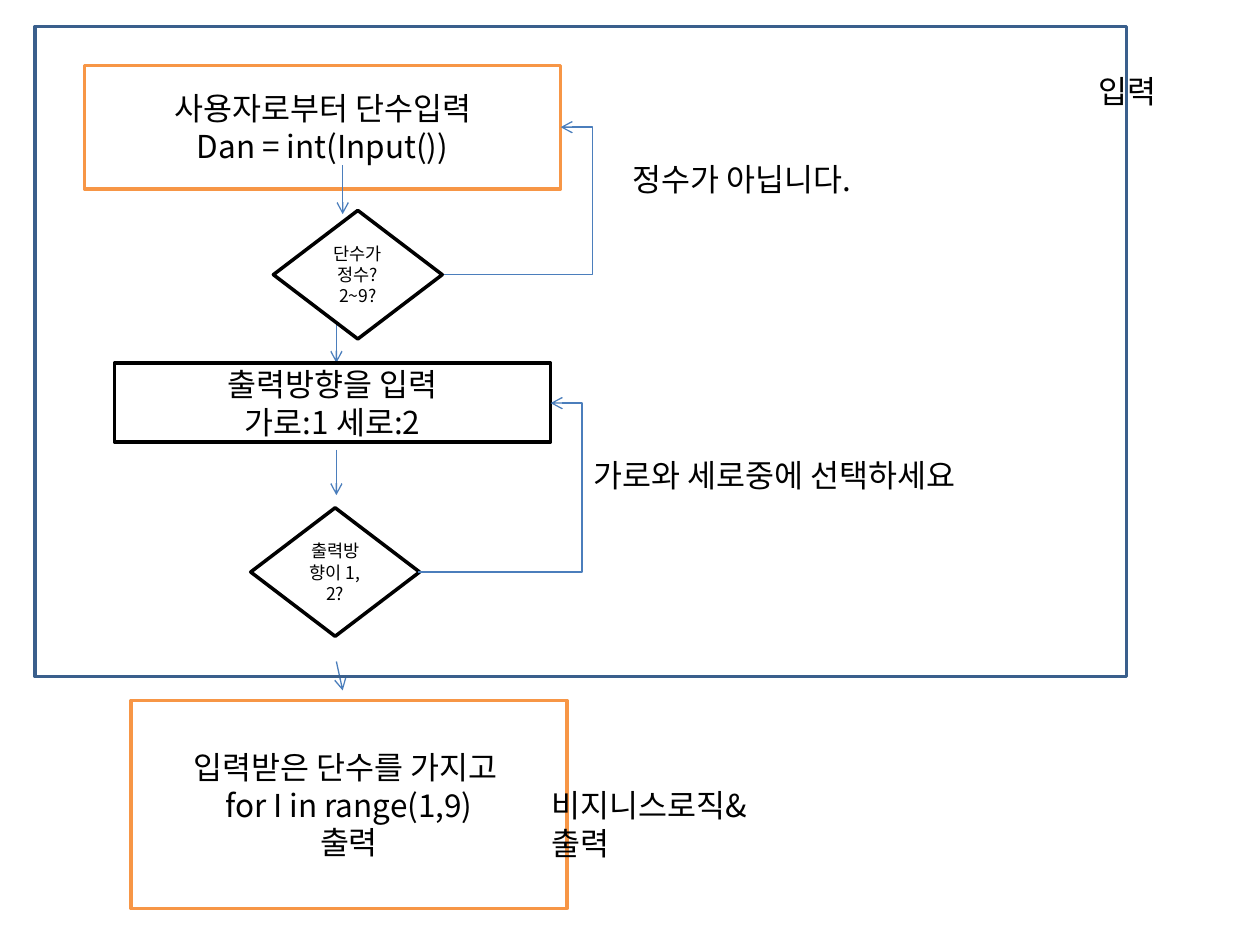
from lxml import etree
from pptx import Presentation
from pptx.dml.color import RGBColor
from pptx.enum import shapes, text
from pptx.oxml.ns import qn
from pptx.util import Inches, Pt

FONT = "Noto Sans CJK KR"
BLACK = RGBColor(0, 0, 0)
WHITE = RGBColor(0xFF, 0xFF, 0xFF)
ORANGE = RGBColor(0xF7, 0x96, 0x46)
NAVY = RGBColor(0x3A, 0x5F, 0x8C)
BLUE = RGBColor(0x4B, 0x7E, 0xBC)
RECT = shapes.MSO_SHAPE.RECTANGLE
DECISION = shapes.MSO_SHAPE.FLOWCHART_DECISION
ELBOW_OUT = 0.25  # how far a return arrow runs past its target

# Content, back to front; "\v" is a line break, "\n" a new paragraph
STEPS = [
    ("box", RECT, (0.67, 0.52, 3.78, 0.98), ORANGE, 18,
     "사용자로부터 단수입력\nDan = int(Input())"),
    ("box", RECT, (1.04, 5.56, 3.46, 1.65), ORANGE, 18,
     "입력받은 단수를 가지고 \vfor I in range(1,9)\n출력"),
    ("arrow", (2.72, 1.31), (2.72, 1.7)),
    ("box", DECISION, (1.99, 4.03, 1.34, 1.02), BLACK, 10, "출력방향이 1, 2?"),
    ("arrow", (2.67, 2.53), (2.67, 2.88)),
    ("return", (3.51, 2.18), (4.45, 1.01)),
    ("label", (4.92, 1.22, 2.57, 0.4), "정수가 아닙니다."),
    ("box", RECT, (0.91, 2.88, 3.46, 0.63), BLACK, 18, "출력방향을 입력\n가로:1 세로:2"),
    ("arrow", (2.67, 3.57), (2.67, 3.93)),
    ("box", DECISION, (2.17, 1.67, 1.34, 1.02), BLACK, 10, "단수가 정수? 2~9?"),
    ("arrow", (2.67, 5.25), (2.72, 5.48)),
    ("return", (3.32, 4.54), (4.37, 3.2)),
    ("label", (4.61, 3.57, 3.46, 0.4), "가로와 세로중에 선택하세요"),
    ("frame", (0.28, 0.21, 8.66, 5.16)),
    ("label", (8.62, 0.52, 1.89, 0.4), "입력"),
    ("label", (4.28, 6.19, 1.89, 0.71), "비지니스로직&출력"),
]

prs = Presentation()
prs.slide_width, prs.slide_height = Inches(10), Inches(7.5)
s = prs.slides.add_slide(prs.slide_layouts[6])


def write(tf, words, size, align):
    tf.text = words
    tf.word_wrap = True
    for p in tf.paragraphs:
        p.alignment = align
        for r in p.runs:
            r.font.name, r.font.size = FONT, Pt(size)
            r.font.color.rgb = BLACK
            ea = etree.SubElement(r.font._element, qn("a:ea"))
            ea.set("typeface", FONT)


def outline(kind, at, color):
    sp = s.shapes.add_shape(kind, *map(Inches, at))
    sp.shadow.inherit = False
    sp.fill.background()
    sp.line.color.rgb, sp.line.width = color, Pt(2)
    return sp


def box(kind, at, color, size, words):
    sp = outline(kind, at, color)
    sp.fill.solid()
    sp.fill.fore_color.rgb = WHITE
    sp.text_frame.vertical_anchor = text.MSO_ANCHOR.MIDDLE
    write(sp.text_frame, words, size, text.PP_ALIGN.CENTER)


def frame(at):
    outline(RECT, at, NAVY)


def label(at, words):
    tf = s.shapes.add_textbox(*map(Inches, at)).text_frame
    write(tf, words, 18, text.PP_ALIGN.LEFT)
    tf.auto_size = text.MSO_AUTO_SIZE.SHAPE_TO_FIT_TEXT


def arrow(start, end, kind=shapes.MSO_CONNECTOR.STRAIGHT):
    c = s.shapes.add_connector(kind, *map(Inches, start + end))
    c.line.color.rgb, c.line.width = BLUE, Pt(0.75)
    etree.SubElement(c.line._get_or_add_ln(), qn("a:tailEnd")).set("type", "arrow")
    etree.SubElement(c._element.spPr, qn("a:effectLst"))
    return c


def return_arrow(start, end):
    c = arrow(start, end, shapes.MSO_CONNECTOR.ELBOW)
    bend = 1 + ELBOW_OUT / (end[0] - start[0])
    geom = c._element.spPr.find(qn("a:prstGeom"))
    av = geom.find(qn("a:avLst"))
    if av is None:
        av = etree.SubElement(geom, qn("a:avLst"))
    gd = etree.SubElement(av, qn("a:gd"))
    gd.set("name", "adj1")
    gd.set("fmla", f"val {round(bend * 100000)}")


# Draw every part in order
DRAW = {"box": box, "frame": frame, "label": label, "arrow": arrow, "return": return_arrow}
for name, *args in STEPS:
    DRAW[name](*args)

prs.save("out.pptx")
